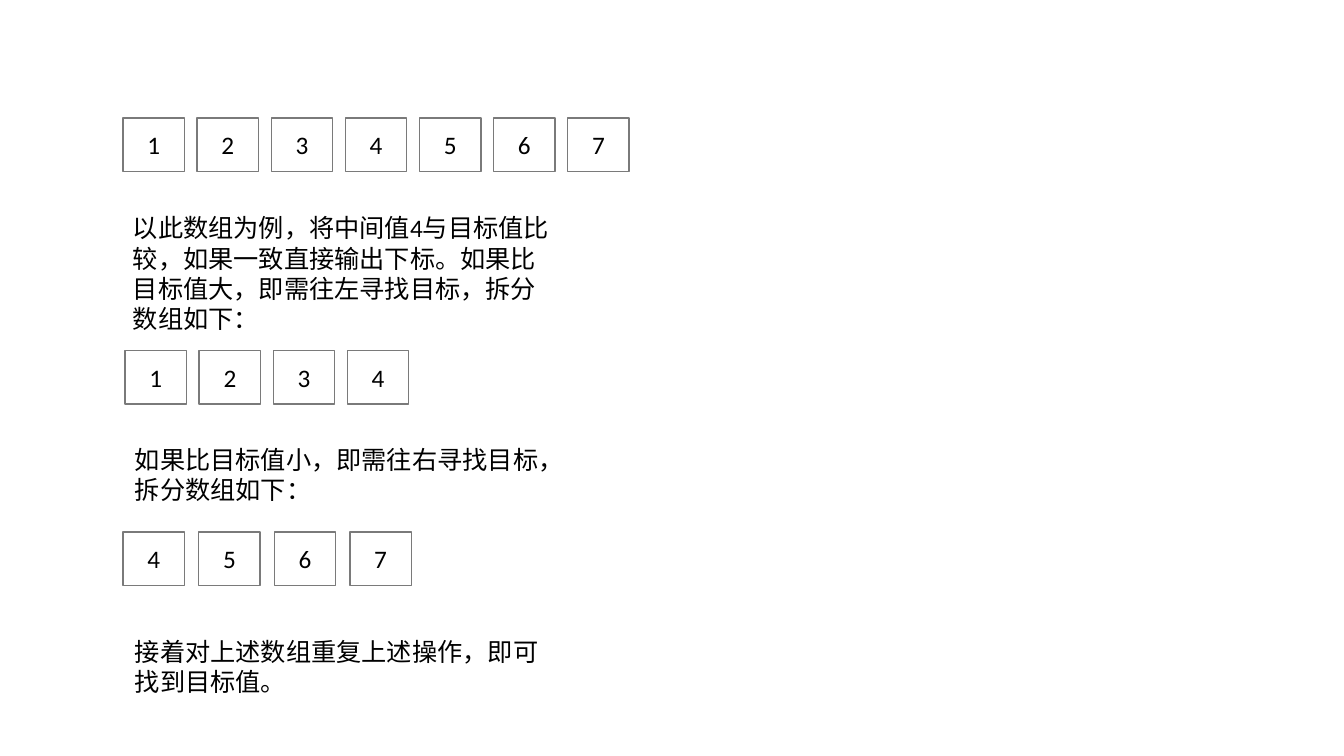
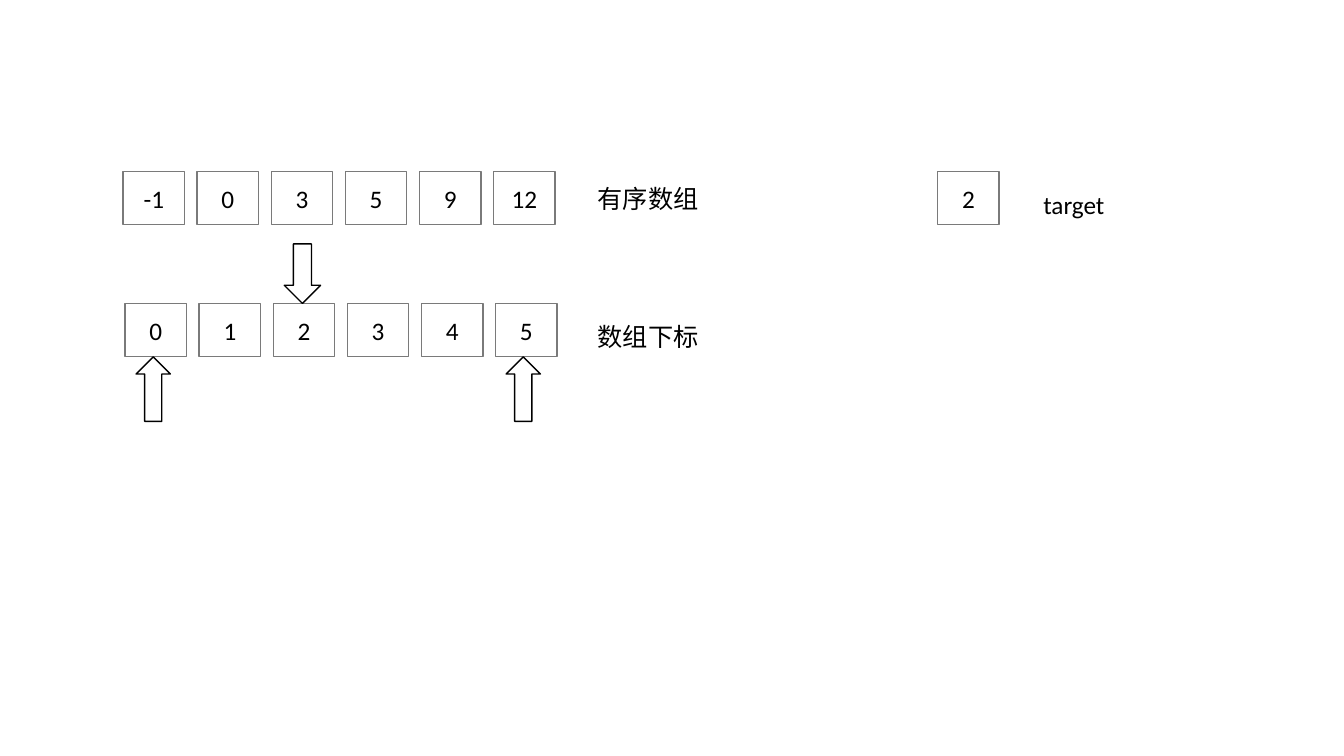
from dataclasses import dataclass

from pptx import Presentation
from pptx.dml.color import RGBColor
from pptx.enum.shapes import MSO_SHAPE
from pptx.enum.text import MSO_ANCHOR, PP_ALIGN
from pptx.util import Inches, Pt

RECTANGLE = MSO_SHAPE.RECTANGLE
DOWN_ARROW = MSO_SHAPE.DOWN_ARROW
UP_ARROW = MSO_SHAPE.UP_ARROW
MIDDLE = MSO_ANCHOR.MIDDLE
CENTER = PP_ALIGN.CENTER


@dataclass(frozen=True)
class Theme:
    font: str = "Calibri"
    size: Pt = Pt(18)
    text: RGBColor = RGBColor(0x00, 0x00, 0x00)
    fill: RGBColor = RGBColor(0xFF, 0xFF, 0xFF)
    cell_line: RGBColor = RGBColor(0x7A, 0x7A, 0x7A)
    arrow_line: RGBColor = RGBColor(0x00, 0x00, 0x00)
    line_width: Pt = Pt(1)


THEME = Theme()
CELL_WIDTH = 0.61
CELL_HEIGHT = 0.53
CELL_PITCH = 4.41 / 6


def add_outline(page, kind, line_color, left, top, width, height):
    shape = page.shapes.add_shape(
        kind, Inches(left), Inches(top), Inches(width), Inches(height)
    )
    shape.shadow.inherit = False
    shape.fill.solid()
    shape.fill.fore_color.rgb = THEME.fill
    shape.line.color.rgb = line_color
    shape.line.width = THEME.line_width
    return shape


def write_text(shape, text):
    frame = shape.text_frame
    frame.word_wrap = True
    para = frame.paragraphs[0]
    para.text = text
    para.font.name = THEME.font
    para.font.size = THEME.size
    para.font.color.rgb = THEME.text
    return para


SLIDES = [
    {
        "rows": [
            (1.22, 1.17, CELL_PITCH, [1, 2, 3, 4, 5, 6, 7]),
            (1.24, 3.48, CELL_PITCH, [1, 2, 3, 4]),
            (1.22, 5.28, 0.75, [4, 5, 6, 7]),
        ],
        "texts": [
            (1.22, 2.06, 4.44, 1.31,
             "以此数组为例，将中间值4与目标值比较，如果一致直接输出下标。"
             "如果比目标值大，即需往左寻找目标，拆分数组如下："),
            (1.24, 4.36, 4.44, 0.71,
             "如果比目标值小，即需往右寻找目标，拆分数组如下："),
            (1.24, 6.26, 4.44, 0.71,
             "接着对上述数组重复上述操作，即可找到目标值。"),
        ],
        "arrows": [],
    },
    {
        "rows": [
            (1.22, 1.7, CELL_PITCH, [-1, 0, 3, 5, 9, 12]),
            (9.3, 1.7, CELL_PITCH, [2]),
            (1.24, 3.01, CELL_PITCH, [0, 1, 2, 3, 4, 5]),
        ],
        "texts": [
            (5.83, 1.77, 3.13, 0.47, "有序数组"),
            (5.83, 3.14, 2.81, 0.4, "数组下标"),
            (10.25, 1.83, 2.63, 0.4, "target"),
        ],
        "arrows": [
            (DOWN_ARROW, 2.82, 2.42, 0.36, 0.59),
            (UP_ARROW, 1.35, 3.54, 0.34, 0.64),
            (UP_ARROW, 5.02, 3.54, 0.34, 0.64),
        ],
    },
]

deck = Presentation()
deck.slide_width = Inches(13.33)
deck.slide_height = Inches(7.5)
blank_layout = deck.slide_layouts.get_by_name("Blank")

for content in SLIDES:
    page = deck.slides.add_slide(blank_layout)

    for left, top, pitch, values in content["rows"]:
        for column, value in enumerate(values):
            cell = add_outline(
                page, RECTANGLE, THEME.cell_line,
                left + column * pitch, top, CELL_WIDTH, CELL_HEIGHT,
            )
            cell.text_frame.vertical_anchor = MIDDLE
            write_text(cell, str(value)).alignment = CENTER

    for left, top, width, height, text in content["texts"]:
        box = page.shapes.add_textbox(
            Inches(left), Inches(top), Inches(width), Inches(height)
        )
        write_text(box, text)

    for kind, left, top, width, height in content["arrows"]:
        add_outline(page, kind, THEME.arrow_line, left, top, width, height)

deck.save("out.pptx")
